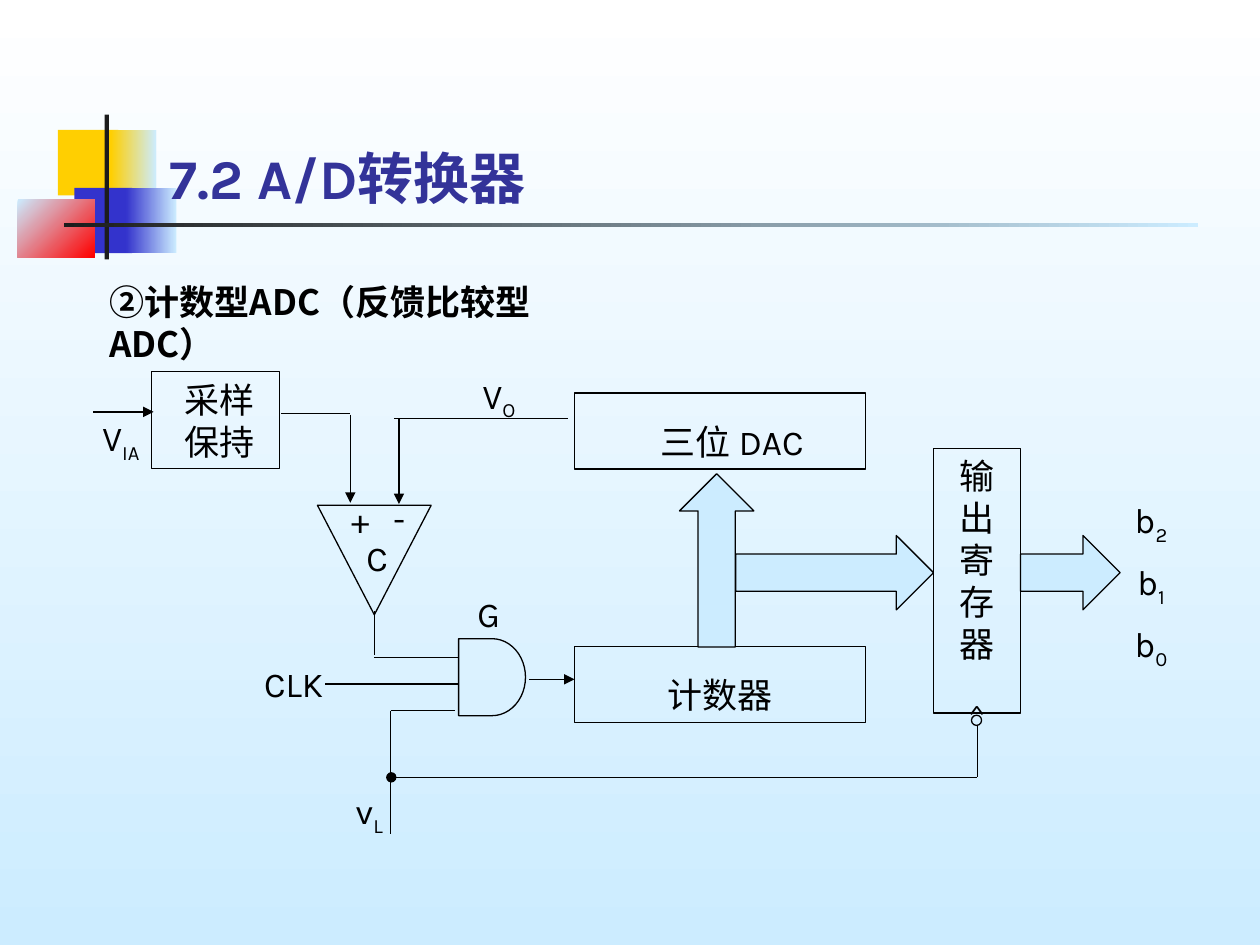
from lxml.etree import SubElement
from pptx import Presentation
from pptx.dml.color import RGBColor
from pptx.enum.shapes import MSO_CONNECTOR, MSO_SHAPE as SHAPE
from pptx.enum.text import MSO_ANCHOR, PP_ALIGN
from pptx.oxml.ns import qn
from pptx.util import Pt

LATIN, HAN = "Karla", "Noto Sans CJK SC"
INK, PALE, DARK = "000000", "CCECFF", "1C1C1C"
GOLD, BLUE, RED = "FFCF01", "3333CC", "FF0000"

# Corner ornament: left, top, width, height, colours, angle
DECOR = [
    (33.1, 74.2, 34.6, 37.4, [GOLD], 0),
    (63.4, 74.2, 25.9, 37.4, [GOLD, PALE], 0),
    (42.5, 107.3, 33.1, 37.4, [BLUE], 0),
    (72, 107.3, 28.8, 37.4, [BLUE, PALE], 0),
    (10.1, 113.8, 43.9, 33.1, [PALE, RED], 45),
    (59.8, 65.5, 2.4, 82.8, [DARK], 0),
    (36.7, 127.4, 648, 2.4, [DARK, PALE], 0),
]

TITLE = "7.2 A/D转换器"
HEAD = "②计数型ADC（反馈比较型ADC）"

# Blocks: left, top, width, height, lines, line spacing, extra left inset
BLOCKS = [
    (86.5, 212.5, 73.4, 55.4, ["采样", "保持"], 1, 4),
    (328.2, 224.6, 166.4, 43.4, ["三位 DAC"], 1.5, 14),
    (328.2, 369.3, 166.4, 43.4, ["计数器"], 1.5, 0),
    (533.5, 256.3, 49.7, 151.2, list("输出寄存器"), 1, 0),
]

# Labels: left, top, width, text, subscript
LABELS = [
    (31, 234.7, 76.3, "V", "IA"),
    (236.2, 210.2, 97.9, "V", "O"),
    (185.8, 447.8, 50.4, "v", "L"),
    (202.3, 303.1, 25.9, "C", ""),
    (188.6, 281.5, 34.6, "+", ""),
    (136.1, 375.1, 63.4, "CLK", ""),
    (253.4, 334.8, 51.8, "G", ""),
]
BITS = "210"

# Symbols: shape, left, top, width, height, rotation, fill
SYMBOLS = [
    (SHAPE.ISOSCELES_TRIANGLE, 181.4, 288.7, 65, 62.6, 180, None),
    (SHAPE.FLOWCHART_DELAY, 262.1, 365, 38.2, 44, 0, None),
    (SHAPE.UP_ARROW, 388.3, 270.7, 42.5, 99, 0, PALE),
    (SHAPE.RIGHT_ARROW, 420.5, 306, 113, 42.5, 0, PALE),
    (SHAPE.RIGHT_ARROW, 583.2, 306, 56.9, 42.5, 0, PALE),
    (SHAPE.OVAL, 555.1, 408.7, 5.8, 5.8, 0, None),
]

# Wires: x1, y1, x2, y2, end mark
TIP, DOT = ("tailEnd", "triangle"), ("headEnd", "oval")
WIRES = [
    (53.3, 235.4, 87.8, 235.4, TIP),
    (160.6, 236.3, 199.8, 236.3, None),
    (200.2, 236.9, 200.2, 287.3, TIP),
    (225.4, 239, 324.7, 239, None),
    (228, 239, 228, 288, TIP),
    (213.9, 349.2, 213.9, 374.4, None),
    (213.9, 375.8, 262.1, 375.8, None),
    (185.8, 390.8, 262.1, 390.8, None),
    (223.2, 406.2, 259.9, 406.2, None),
    (223.2, 406.2, 223.2, 476.6, None),
    (223.6, 444.2, 558.4, 444.2, DOT),
    (558.4, 414, 558.4, 444.2, None),
    (302.4, 388.2, 328.3, 388.2, TIP),
]


def rgb(code):
    return RGBColor.from_string(code)


def blend(fill, tones, angle):
    fill.gradient()
    fill.gradient_angle = 360 - angle
    for stop, tone in zip(fill.gradient_stops, tones):
        stop.color.rgb = rgb(tone)


def style(par, size, tone=INK, bold=False, face=LATIN):
    font = par.font
    font.size, font.bold, font.name = Pt(size), bold, face
    font.color.rgb = rgb(tone)
    props = par._p.get_or_add_pPr().find(qn("a:defRPr"))
    SubElement(props, qn("a:ea")).set("typeface", HAN)


def shape(kind, x, y, w, h, fill=None, line=True):
    item = slide.shapes.add_shape(kind, Pt(x), Pt(y), Pt(w), Pt(h))
    item.shadow.inherit = False
    if fill:
        item.fill.solid()
        item.fill.fore_color.rgb = rgb(fill)
    else:
        item.fill.background()
    if line:
        item.line.color.rgb = rgb(INK)
        item.line.width = Pt(0.75)
    else:
        item.line.fill.background()
    return item


def text(x, y, w, h, words, size=20, sub="", align=PP_ALIGN.CENTER, **look):
    box = slide.shapes.add_textbox(Pt(x), Pt(y), Pt(w), Pt(h))
    box.text_frame.word_wrap = True
    par = box.text_frame.paragraphs[0]
    par.alignment = align
    par.add_run().text = words
    if sub:
        run = par.add_run()
        run.text = sub
        run.font._element.set("baseline", "-25000")
    style(par, size, **look)
    return box


def block(x, y, w, h, lines, space, inset):
    frame = shape(SHAPE.RECTANGLE, x, y, w, h).text_frame
    frame.word_wrap = True
    frame.vertical_anchor = MSO_ANCHOR.TOP
    frame.margin_left = Pt(7.2 + inset)
    frame.text = "\n".join(lines)
    for par in frame.paragraphs:
        par.alignment = PP_ALIGN.CENTER
        par.line_spacing = space
        style(par, 20)


def wire(x1, y1, x2, y2, mark):
    item = slide.shapes.add_connector(
        MSO_CONNECTOR.STRAIGHT, Pt(x1), Pt(y1), Pt(x2), Pt(y2))
    item.line.color.rgb = rgb(INK)
    item.line.width = Pt(0.75)
    if mark:
        end, kind = mark
        SubElement(item.line._get_or_add_ln(), qn("a:" + end)).set("type", kind)
    SubElement(item._element.spPr, qn("a:effectLst"))


deck = Presentation()
deck.slide_width, deck.slide_height = Pt(720), Pt(540)
slide = deck.slides.add_slide(deck.slide_layouts[6])
blend(slide.background.fill, ["FFFFFF", PALE], 90)

# Ornament
for x, y, w, h, tones, angle in DECOR:
    patch = shape(SHAPE.RECTANGLE, x, y, w, h, tones[0], line=False)
    if len(tones) > 1:
        blend(patch.fill, tones, angle)

# Title and heading
title = text(90, 66.2, 567.4, 57.6, TITLE, 32, align=PP_ALIGN.LEFT,
             tone="333399", bold=True)
title.text_frame.vertical_anchor = MSO_ANCHOR.BOTTOM
text(55.4, 157, 297.4, 55.4, HEAD, align=PP_ALIGN.LEFT, bold=True, face=HAN)

# Circuit
for row in BLOCKS:
    block(*row)
for kind, x, y, w, h, turn, fill in SYMBOLS:
    shape(kind, x, y, w, h, fill).rotation = turn
for row in WIRES:
    wire(*row)

# Labels, output bits and clock mark
for x, y, w, words, sub in LABELS:
    text(x, y, w, 32, words, sub=sub)
for i, bit in enumerate(BITS):
    text(636.5, 281.5 + 35.3 * i, 42.5, 34.6, "b", sub=bit)
text(213.8, 280.1, 29.5, 31.7, "-", face=HAN)
text(545, 393.8, 24.5, 24.5, ">", 14).rotation = 270

deck.save("out.pptx")
